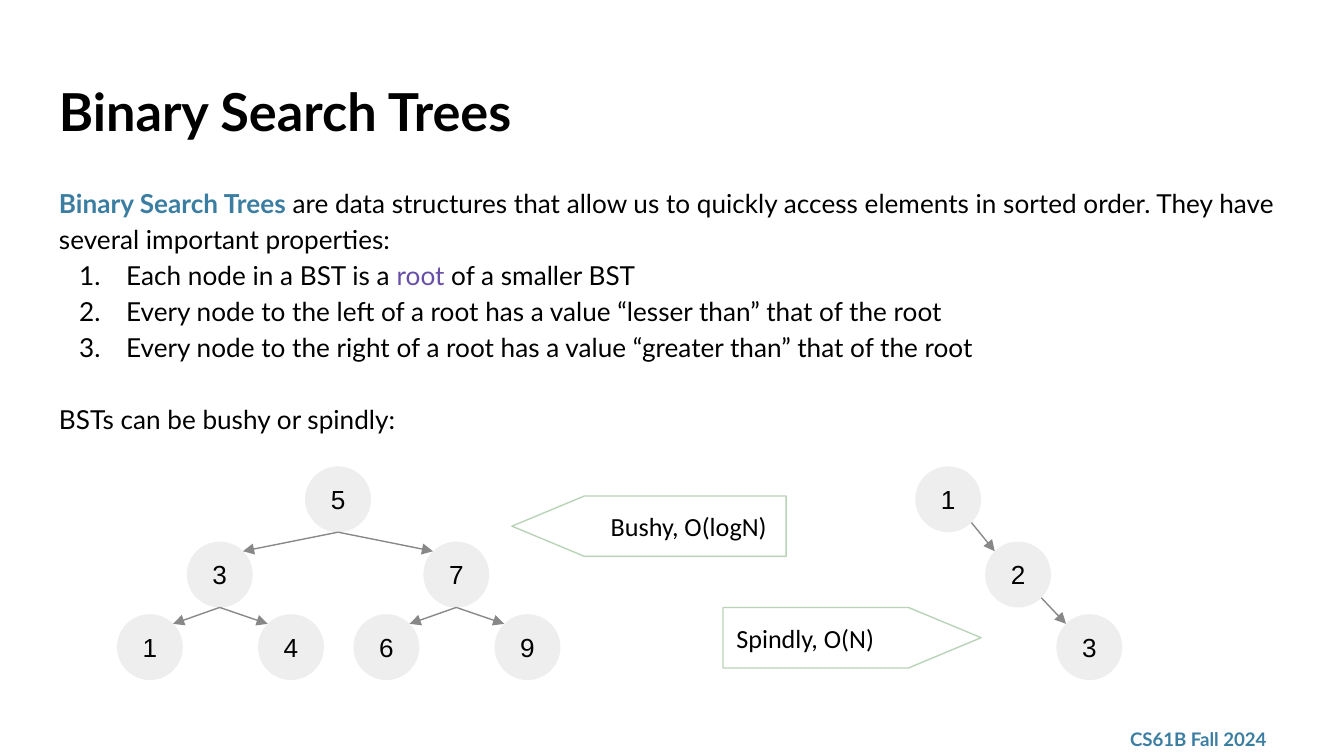
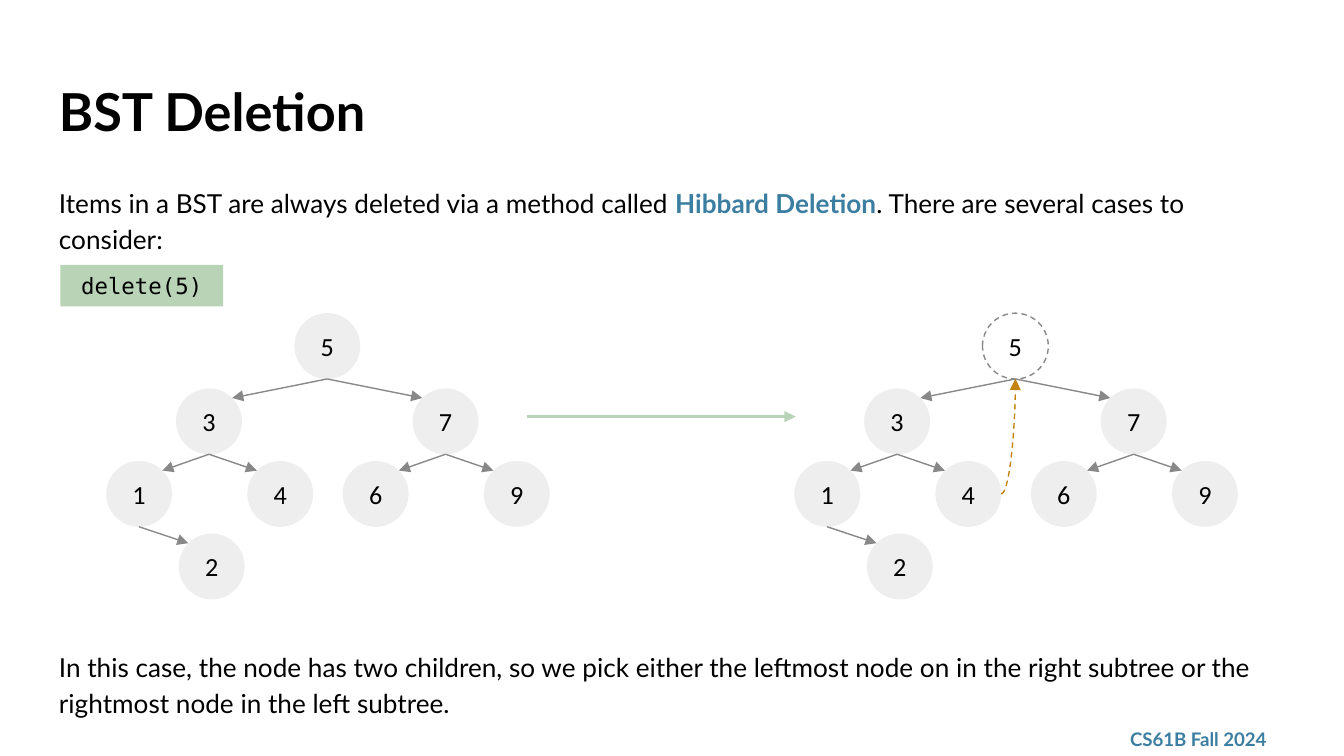
from dataclasses import dataclass

from lxml.etree import SubElement
from pptx import Presentation
from pptx.dml.color import RGBColor
from pptx.enum.dml import MSO_LINE_DASH_STYLE as Dash
from pptx.enum.shapes import MSO_CONNECTOR as Connector, MSO_SHAPE as Shape
from pptx.enum.text import MSO_ANCHOR as Anchor, PP_ALIGN as Align
from pptx.oxml.ns import qn
from pptx.util import Inches, Pt


@dataclass(frozen=True)
class Theme:
    black: str = "000000"
    blue: str = "3B7EA1"
    purple: str = "674EA7"
    green: str = "B9D3B6"
    orange: str = "C4820E"
    gray: str = "888888"
    node_fill: str = "EEEEEE"
    text_font: str = "Lato"
    label_font: str = "Calibri"
    plain_font: str = "Arial"
    code_font: str = "DejaVu Sans Mono"
    title_size: int = 28
    body_size: int = 14
    code_size: int = 12
    footer_size: int = 10
    line_width: float = 0.75
    thick_width: float = 1.5


THEME = Theme()

# Page geometry: a 16:9 page
PAGE_WIDTH = Inches(10)
PAGE_HEIGHT = PAGE_WIDTH * 9 // 16
LEFT, WIDTH = 0.34, 9.32
INSET = 0.1

# Node diameter, and the offset of a diagonal point from its centre
NODE = 0.49
RADIUS = NODE / 2
DIAGONAL = RADIUS * 0.707

# Trees: value -> (horizontal offset from the root, level, parent)
LEVELS = (0, 0.56, 1.1, 1.64)
BUSHY = {
    5: (0, 0, None),
    3: (-0.88, 1, 5), 7: (0.88, 1, 5),
    1: (-1.4, 2, 3), 4: (-0.35, 2, 3),
    6: (0.36, 2, 7), 9: (1.41, 2, 7),
}
BUSHY_WITH_TWO = {**BUSHY, 2: (-0.86, 3, 1)}
SPINDLY = {1: (0, 0, None), 2: (0.52, 1, 1), 3: (1.05, 2, 2)}


def set_all(target, values):
    for name, value in values.items():
        setattr(target, name, value)


def box(left, top, width, height):
    return [Inches(value) for value in (left, top, width, height)]


# Text
def setup_frame(frame, anchor):
    margins = ("margin_left", "margin_top", "margin_right", "margin_bottom")
    set_all(frame, dict.fromkeys(margins, Inches(INSET)))
    set_all(frame, {"word_wrap": True, "vertical_anchor": anchor})


def add_run(paragraph, text, font=THEME.text_font, size=THEME.body_size,
            color=THEME.black, bold=False):
    run = paragraph.add_run()
    run.text = text
    set_all(run.font, {"name": font, "size": Pt(size), "bold": bold})
    run.font.color.rgb = RGBColor.from_string(color)


def number_paragraph(paragraph):
    properties = paragraph._p.get_or_add_pPr()
    properties.set("marL", str(Inches(0.5)))
    properties.set("indent", str(Inches(-0.35)))
    color = SubElement(properties, qn("a:buClr"))
    SubElement(color, qn("a:srgbClr"), val=THEME.black)
    SubElement(properties, qn("a:buFont"), typeface=THEME.text_font)
    SubElement(properties, qn("a:buAutoNum"), type="arabicPeriod")


def add_text(slide, place, paragraphs, anchor=Anchor.TOP, spacing=1.0):
    """Each paragraph is (runs, format); each run is (text, run format)."""
    frame = slide.shapes.add_textbox(*box(*place)).text_frame
    setup_frame(frame, anchor)
    for index, (runs, layout) in enumerate(paragraphs):
        paragraph = frame.add_paragraph() if index else frame.paragraphs[0]
        set_all(paragraph, {"line_spacing": spacing,
                            "space_before": Pt(layout.get("before", 0))})
        if layout.get("numbered"):
            number_paragraph(paragraph)
        for text, style in runs:
            add_run(paragraph, text, **style)


def add_body(slide, top, height, paragraphs):
    add_text(slide, (LEFT, top, WIDTH, height), paragraphs, spacing=1.15)


# Shapes and lines
def style_line(line, color, width=THEME.line_width, dash=None):
    line.color.rgb = RGBColor.from_string(color)
    line.width = Pt(width)
    if dash:
        line.dash_style = dash


def add_label(shapes, kind, place, text, fill=None, line=None,
              align=Align.CENTER, **style):
    shape = shapes.add_shape(kind, *box(*place))
    shape.shadow.inherit = False
    if fill:
        shape.fill.solid()
        shape.fill.fore_color.rgb = RGBColor.from_string(fill)
    else:
        shape.fill.background()
    if line:
        style_line(shape.line, **line)
    else:
        shape.line.fill.background()
    setup_frame(shape.text_frame, Anchor.MIDDLE)
    paragraph = shape.text_frame.paragraphs[0]
    paragraph.alignment = align
    add_run(paragraph, text, **style)
    return shape


def add_arrow(shapes, start, end, kind=Connector.STRAIGHT, **line):
    points = [Inches(value) for value in (*start, *end)]
    arrow = shapes.add_connector(kind, *points)
    style_line(arrow.line, **line)
    SubElement(arrow.line._get_or_add_ln(), qn("a:tailEnd"), type="triangle")
    SubElement(arrow._element.spPr, qn("a:effectLst"))
    return arrow


def add_plate(slide, place, text, align, flipped=False):
    plate = add_label(slide.shapes, Shape.PENTAGON, place, text,
                      line={"color": THEME.green}, align=align,
                      font=THEME.label_font)
    plate.adjustments[0] = 1.2
    if flipped:
        plate._element.spPr.find(qn("a:xfrm")).set("flipH", "1")


# Trees
def draw_tree(slide, tree, root_left, root_top, font, removed=None,
              diagonal=False):
    """Draw nodes and edges; return the centre of each node."""
    shapes = slide.shapes.add_group_shape().shapes
    centers = {}
    for value, (offset, level, parent) in tree.items():
        left, top = root_left + offset, root_top + LEVELS[level]
        centers[value] = x, y = left + RADIUS, top + RADIUS
        if value == removed:
            look = {"line": {"color": THEME.gray, "dash": Dash.DASH}}
        else:
            look = {"fill": THEME.node_fill}
        add_label(shapes, Shape.OVAL, (left, top, NODE, NODE), str(value),
                  font=font, **look)
        if parent is None:
            continue
        parent_x, parent_y = centers[parent]
        side = 1 if x > parent_x else -1
        if diagonal:
            start = parent_x + side * DIAGONAL, parent_y + DIAGONAL
        else:
            start = parent_x, parent_y + RADIUS
        end = x - side * DIAGONAL, y - DIAGONAL
        add_arrow(shapes, start, end, color=THEME.gray)
    return centers


# Slides
def new_slide(presentation, title):
    slide = presentation.slides.add_slide(presentation.slide_layouts[6])
    footer_style = {"size": THEME.footer_size, "color": THEME.blue, "bold": True}
    add_text(slide, (8.31, 5.37, 1.35, 0.26),
             [([("CS61B Fall 2024", footer_style)], {})], Anchor.MIDDLE)
    title_style = {"size": THEME.title_size, "bold": True}
    add_text(slide, (LEFT, 0.49, WIDTH, 0.63), [([(title, title_style)], {})])
    return slide


def build_search_trees(presentation):
    slide = new_slide(presentation, "Binary Search Trees")
    numbered = {"numbered": True}
    add_body(slide, 1.26, 2.06, [
        ([("Binary Search Trees", {"color": THEME.blue, "bold": True}),
          (" are data structures that allow us to quickly access elements in "
           "sorted order. They have several important properties:", {})], {}),
        ([("Each node in a BST is a ", {}), ("root", {"color": THEME.purple}),
          (" of a smaller BST", {})], numbered),
        ([("Every node to the left of a root has a value “lesser than” "
           "that of the root", {})], numbered),
        ([("Every node to the right of a root has a value “greater than” "
           "that of the root", {})], numbered),
        ([("BSTs can be bushy or spindly:", {})], {"before": 19.3}),
    ])
    draw_tree(slide, BUSHY, 2.27, 3.47, THEME.plain_font)
    draw_tree(slide, SPINDLY, 6.81, 3.47, THEME.plain_font, diagonal=True)
    add_plate(slide, (5.38, 4.52, 1.92, 0.45), "Spindly, O(N)", Align.LEFT)
    add_plate(slide, (3.81, 3.69, 2.04, 0.45), "Bushy, O(logN) ", Align.RIGHT,
              flipped=True)


def build_deletion(presentation):
    slide = new_slide(presentation, "BST Deletion")
    add_body(slide, 1.26, 0.55, [
        ([("Items in a BST are always deleted via a method called ", {}),
          ("Hibbard Deletion", {"color": THEME.blue, "bold": True}),
          (". There are several cases to consider:", {})], {}),
    ])
    add_label(slide.shapes, Shape.RECTANGLE, (0.45, 1.97, 1.21, 0.31),
              "delete(5)", fill=THEME.green, font=THEME.code_font,
              size=THEME.code_size)

    # Before and after
    draw_tree(slide, BUSHY_WITH_TWO, 2.19, 2.33, THEME.label_font)
    centers = draw_tree(slide, BUSHY_WITH_TWO, 7.31, 2.33, THEME.label_font,
                        removed=5)
    add_arrow(slide.shapes, (3.92, 3.1), (5.92, 3.1), color=THEME.green,
              width=THEME.thick_width)

    # The replacement moves up to the root
    (four_x, four_y), (root_x, root_y) = centers[4], centers[5]
    curve = add_arrow(slide.shapes, (four_x + RADIUS, four_y),
                      (root_x, root_y + RADIUS), Connector.CURVE,
                      color=THEME.orange, dash=Dash.DASH)
    curve._element.spPr.find(qn("a:prstGeom")).set("prst", "curvedConnector2")

    add_body(slide, 4.71, 0.63, [
        ([("In this case, the node has two children, so we pick either the "
           "leftmost node on in the right subtree or the rightmost node in "
           "the left subtree.", {})], {}),
    ])


def main():
    presentation = Presentation()
    set_all(presentation, {"slide_width": PAGE_WIDTH,
                           "slide_height": PAGE_HEIGHT})
    build_search_trees(presentation)
    build_deletion(presentation)
    presentation.save("out.pptx")


if __name__ == "__main__":
    main()
